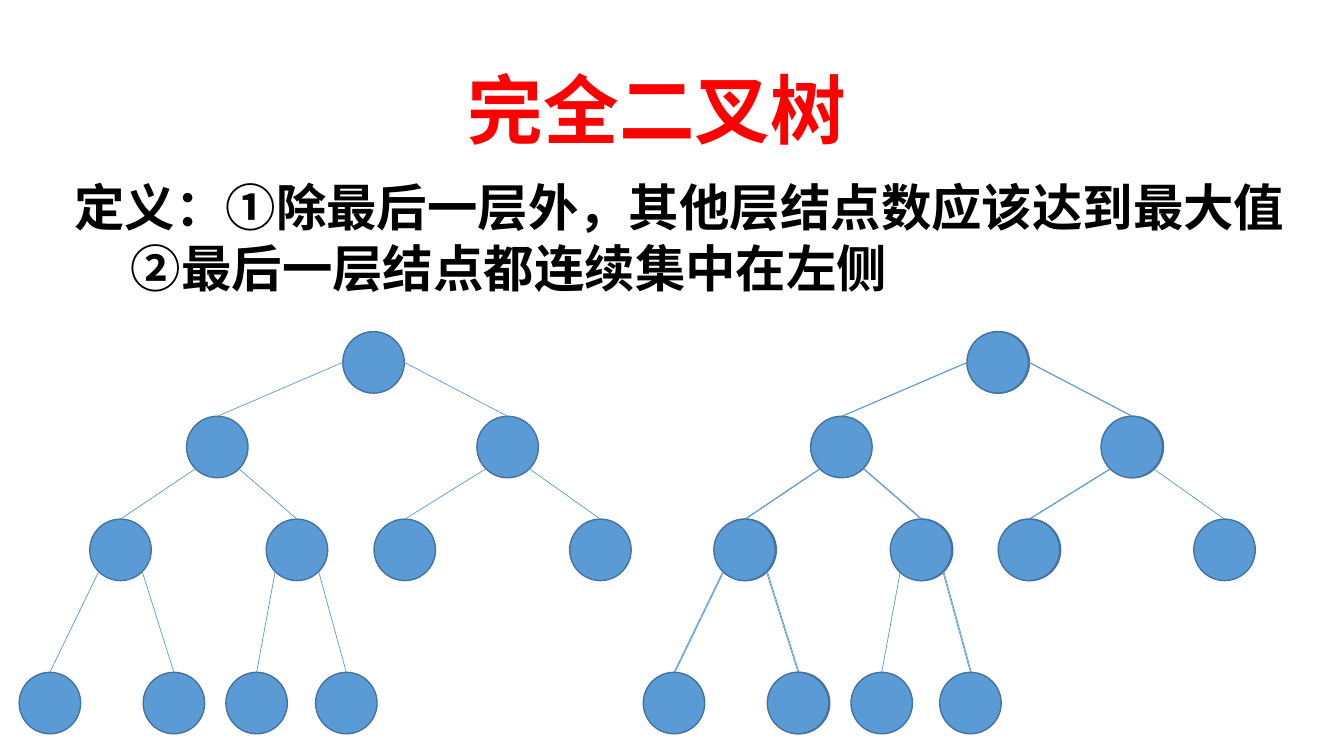
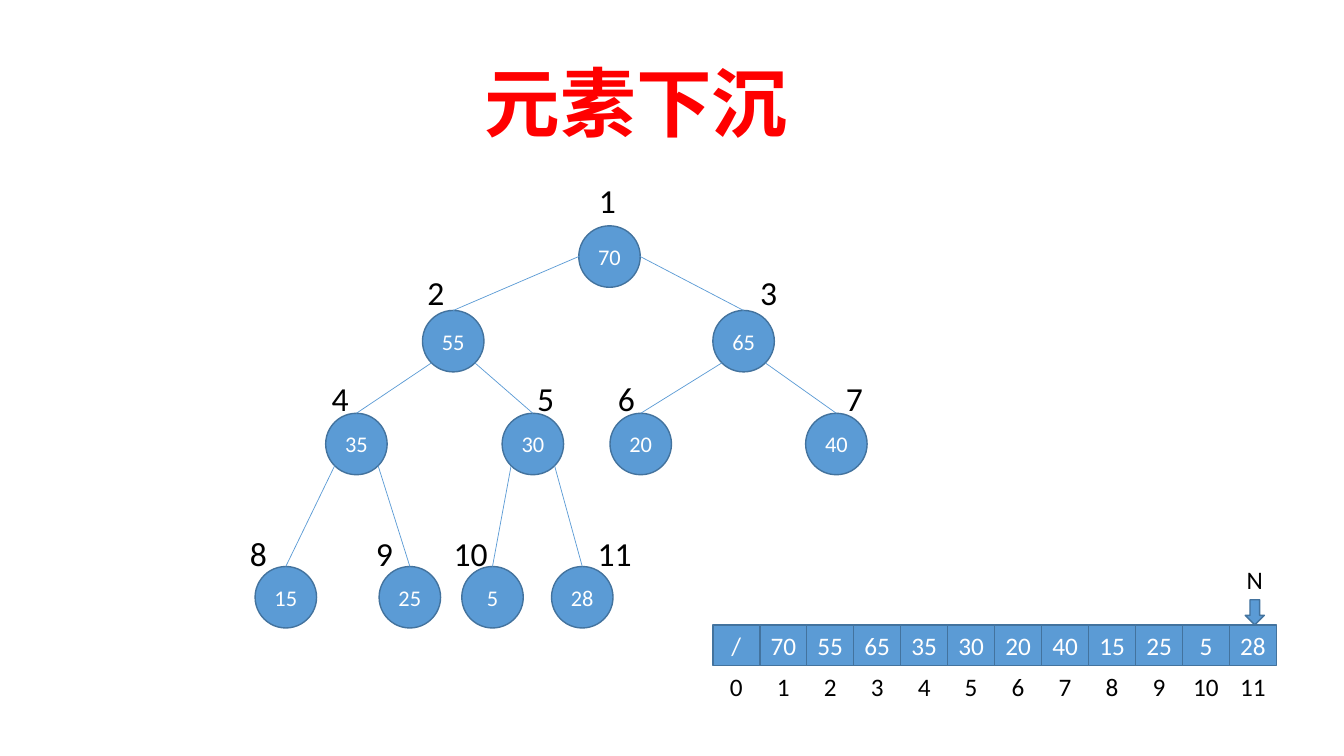
"""Build two slides on complete binary trees and sinking an element in a heap."""
import math
from dataclasses import dataclass
from typing import Optional, Union

from lxml import etree
from pptx import Presentation
from pptx.dml.color import RGBColor
from pptx.enum.shapes import MSO_CONNECTOR, MSO_SHAPE
from pptx.enum.text import MSO_ANCHOR, MSO_AUTO_SIZE, PP_ALIGN
from pptx.oxml.ns import qn
from pptx.shapes.autoshape import Shape
from pptx.shapes.shapetree import GroupShapes, SlideShapes
from pptx.slide import Slide
from pptx.util import Inches, Pt

OVAL, RECTANGLE, DOWN_ARROW = MSO_SHAPE.OVAL, MSO_SHAPE.RECTANGLE, MSO_SHAPE.DOWN_ARROW
STRAIGHT = MSO_CONNECTOR.STRAIGHT
LEFT, CENTER = PP_ALIGN.LEFT, PP_ALIGN.CENTER
TOP, MIDDLE = MSO_ANCHOR.TOP, MSO_ANCHOR.MIDDLE
NO_AUTOFIT = MSO_AUTO_SIZE.NONE

COLORS = {"title": "FF0000", "text": "000000", "light": "FFFFFF",
          "node": "5B9BD5", "outline": "43739E"}
FONT = "Calibri"
FORMATS = {
    "title": {"size": Pt(54), "bold": True},
    "definition": {"size": Pt(36), "bold": True},
    "number": {"size": Pt(24), "bold": False},
    "value": {"size": Pt(16), "bold": False},
    "cell": {"size": Pt(18), "bold": False},
}
TITLE_ONLY = 5
NODE_SIZE = 0.61
DIAGONAL = NODE_SIZE / 2 * math.cos(math.pi / 4)
ARRAY_LEFT, ARRAY_TOP, ARRAY_WIDTH, CELL_HEIGHT = 7.07, 6.2, 5.59, 0.4
DEFINITION = ("定义：①除最后一层外，其他层结点数应该达到最大值", "②最后一层结点都连续集中在左侧")
HEAP = ("70", "55", "65", "35", "30", "20", "40", "15", "25", "5", "28")
NUMBER_RISE = (0.5, 0.43, 0.4, 0.38)

Shapes = Union[SlideShapes, GroupShapes]


@dataclass(frozen=True)
class Box:
    left: float
    top: float
    width: float
    height: float

    def lengths(self) -> tuple[Inches, ...]:
        return tuple(Inches(n) for n in (self.left, self.top, self.width, self.height))


@dataclass(frozen=True)
class Node:
    left: float
    top: float
    number_shift: float


@dataclass(frozen=True)
class Tree:
    left: float = 0
    top: float = 0
    values: tuple[str, ...] = ()
    hidden_nodes: tuple[int, ...] = ()
    hidden_edges: tuple[int, ...] = ()


NODES = {
    1: Node(3.4, 3.29, 0.1),
    2: Node(1.85, 4.13, -0.05),
    3: Node(4.73, 4.13, 0.37),
    4: Node(0.89, 5.15, -0.04),
    5: Node(2.64, 5.15, 0.25),
    6: Node(3.71, 5.15, -0.02),
    7: Node(5.65, 5.15, 0.3),
    8: Node(0.19, 6.67, -0.15),
    9: Node(1.42, 6.67, -0.13),
    10: Node(2.24, 6.67, -0.18),
    11: Node(3.13, 6.67, 0.36),
}
DEFINITION_TREES = (
    Tree(),
    Tree(left=6.2, hidden_nodes=(2, 7, 8, 11), hidden_edges=(7,)),
    Tree(left=6.19, hidden_nodes=(10,), hidden_edges=(10,)),
)
HEAP_TREE = Tree(left=2.34, top=-1.05, values=HEAP)


def write(shape: Shape, lines: tuple[str, ...], style: str, color: str,
          alignment: PP_ALIGN = LEFT, anchor: MSO_ANCHOR = TOP, wrap: bool = True) -> None:
    frame = shape.text_frame
    settings = {"word_wrap": wrap, "auto_size": NO_AUTOFIT, "vertical_anchor": anchor}
    for name, value in settings.items():
        setattr(frame, name, value)
    for index, line in enumerate(lines):
        paragraph = frame.add_paragraph() if index else frame.paragraphs[0]
        paragraph.alignment = alignment
        run = paragraph.add_run()
        run.text = line
        run.font.name = FONT
        run.font.color.rgb = RGBColor.from_string(COLORS[color])
        for name, value in FORMATS[style].items():
            setattr(run.font, name, value)


def add_label(shapes: Shapes, box: Box, text: str, style: str,
              alignment: PP_ALIGN = LEFT) -> None:
    write(shapes.add_textbox(*box.lengths()), (text,), style, "text", alignment, wrap=False)


def add_figure(shapes: Shapes, kind: MSO_SHAPE, box: Box, text: str = "",
               style: str = "value") -> Shape:
    shape = shapes.add_shape(kind, *box.lengths())
    shape.shadow.inherit = False
    shape.fill.solid()
    shape.fill.fore_color.rgb = RGBColor.from_string(COLORS["node"])
    shape.line.color.rgb = RGBColor.from_string(COLORS["outline"])
    shape.line.width = Pt(1)
    if text:
        write(shape, (text,), style, "light", CENTER, MIDDLE, wrap=False)
    return shape


def add_edge(shapes: Shapes, tree: Tree, number: int, child: Optional[Shape]) -> None:
    parent, node = NODES[number // 2], NODES[number]
    radius = NODE_SIZE / 2
    side = 1 if number % 2 else -1
    reach, drop = (radius, 0) if number // 2 == 1 else (DIAGONAL, DIAGONAL)
    points = (parent.left + radius + side * reach + tree.left,
              parent.top + radius + drop + tree.top,
              node.left + radius + tree.left,
              node.top + tree.top)
    connector = shapes.add_connector(STRAIGHT, *(Inches(n) for n in points))
    if child is not None:
        connector.end_connect(child, 0)
    connector.line.color.rgb = RGBColor.from_string(COLORS["node"])
    connector.line.width = Pt(0.5)
    etree.SubElement(connector.element.spPr, qn("a:effectLst"))


def add_tree(shapes: Shapes, tree: Tree) -> None:
    circles = {}
    for number, node in NODES.items():
        if number not in tree.hidden_nodes:
            box = Box(node.left + tree.left, node.top + tree.top, NODE_SIZE, NODE_SIZE)
            value = tree.values[number - 1] if tree.values else ""
            circles[number] = add_figure(shapes, OVAL, box, value)
    for number in NODES:
        if number > 1 and number not in tree.hidden_edges:
            add_edge(shapes, tree, number, circles.get(number))


def add_node_numbers(shapes: Shapes, tree: Tree) -> None:
    for number, node in NODES.items():
        rise = NUMBER_RISE[int(math.log2(number))]
        box = Box(node.left + tree.left + node.number_shift, node.top + tree.top - rise,
                  0.41 if number < 10 else 0.66, 0.5)
        add_label(shapes, box, str(number), "number")


def add_array(shapes: Shapes, values: tuple[str, ...]) -> None:
    width = ARRAY_WIDTH / len(values)
    for index, value in enumerate(values):
        left = ARRAY_LEFT + index * width
        add_figure(shapes, RECTANGLE, Box(left, ARRAY_TOP, width, CELL_HEIGHT), value, "cell")
        label_width = 0.33 if index < 10 else 0.5
        box = Box(left + (width - label_width) / 2, 6.61, label_width, 0.4)
        add_label(shapes, box, str(index), "cell", CENTER)


def add_titled_slide(presentation: Presentation, title: str, left: float, top: float) -> Slide:
    slide = presentation.slides.add_slide(presentation.slide_layouts[TITLE_ONLY])
    placeholder = slide.shapes.title
    box = Box(left, top, 6.63, 1.01)
    for name, length in zip(("left", "top", "width", "height"), box.lengths()):
        setattr(placeholder, name, length)
    write(placeholder, (title,), "title", "title")
    return slide


def build_definition(presentation: Presentation) -> None:
    shapes = add_titled_slide(presentation, "完全二叉树", 4.54, 0.57).shapes
    definition = shapes.add_textbox(*Box(0.64, 1.7, 12.23, 1.31).lengths())
    write(definition, DEFINITION, "definition", "text")
    second = definition.text_frame.paragraphs[1]
    second._p.get_or_add_pPr().set("marL", str(Inches(0.56)))
    for tree in DEFINITION_TREES:
        add_tree(shapes, tree)


def build_sinking(presentation: Presentation) -> None:
    shapes = add_titled_slide(presentation, "元素下沉", 4.71, 0.5).shapes
    add_tree(shapes, HEAP_TREE)
    add_node_numbers(shapes, HEAP_TREE)
    add_array(shapes, ("/",) + HEAP)
    pointer = shapes.add_group_shape().shapes
    add_figure(pointer, DOWN_ARROW, Box(12.35, 5.95, 0.19, 0.25))
    add_label(pointer, Box(12.04, 5.55, 0.81, 0.4), "N", "cell", CENTER)


def main() -> None:
    presentation = Presentation()
    presentation.slide_width = Inches(13.33)
    presentation.slide_height = Inches(7.5)
    build_definition(presentation)
    build_sinking(presentation)
    presentation.save("out.pptx")


if __name__ == "__main__":
    main()
